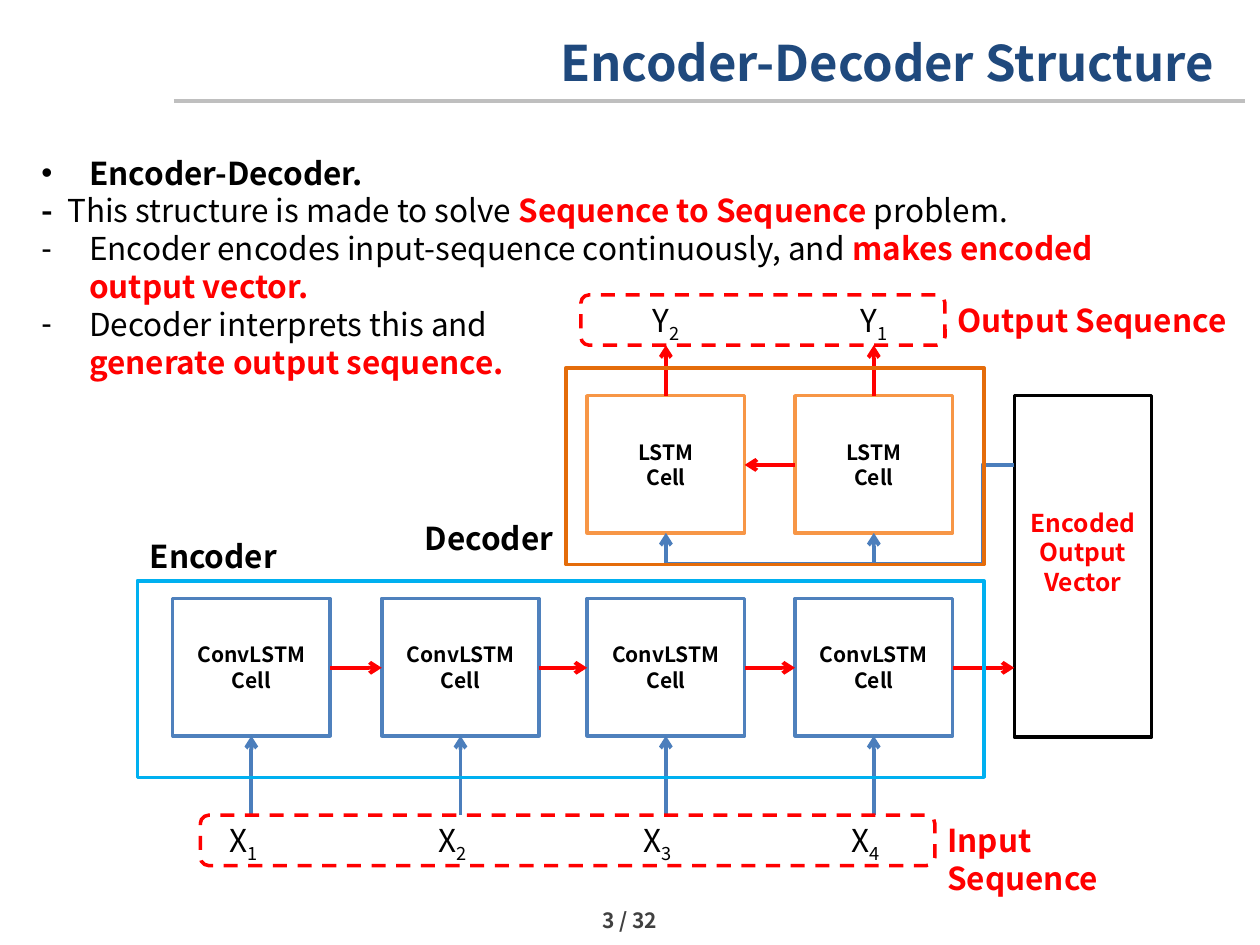
from lxml import etree
from pptx import Presentation
from pptx.dml.color import RGBColor
from pptx.enum.dml import MSO_LINE
from pptx.enum.shapes import MSO_CONNECTOR, MSO_SHAPE
from pptx.enum.text import MSO_ANCHOR, PP_ALIGN
from pptx.oxml.ns import qn
from pptx.util import Inches, Pt

STRAIGHT, ELBOW = MSO_CONNECTOR.STRAIGHT, MSO_CONNECTOR.ELBOW
RECTANGLE, ROUNDED = MSO_SHAPE.RECTANGLE, MSO_SHAPE.ROUNDED_RECTANGLE
LEFT, CENTER, RIGHT = PP_ALIGN.LEFT, PP_ALIGN.CENTER, PP_ALIGN.RIGHT
TOP, MIDDLE = MSO_ANCHOR.TOP, MSO_ANCHOR.MIDDLE
DASH = MSO_LINE.DASH

FONT = "Noto Sans CJK KR"
BLACK, WHITE, RED = "000000", "FFFFFF", "FF0000"
NAVY, GRAY, DARK_GRAY = "1F497D", "BFBFBF", "404040"
BLUE, ARROW_BLUE, CYAN = "4F81BD", "4B7EBC", "00B0F0"
ORANGE, DARK_ORANGE = "F79646", "E46C0A"

CELL_LEFTS = [1.37, 3.03, 4.66, 6.31]
CELL_WIDTH, CELL_HEIGHT = 1.25, 1.09
LABEL_WIDTH, LABEL_HEIGHT = 0.55, 0.4
VECTOR_LEFT = 8.05
BODY = [
    ("•", [("Encoder-Decoder.", BLACK, True)]),
    (None, [("-  ", BLACK, True),
            ("This structure is made to solve ", BLACK, False),
            ("Sequence to Sequence ", RED, True),
            ("problem.", BLACK, False)]),
    ("-", [("Encoder encodes input-sequence continuously, and ", BLACK, False),
           ("makes encoded output vector.", RED, True)]),
    ("-", [("Decoder interprets this and", BLACK, False)]),
    (None, [("\tgenerate output sequence.", RED, True)]),
]


def color(value):
    return RGBColor.from_string(value)


def add_span(para, text, size=18, tint=BLACK, bold=False):
    span = para.add_run()
    span.text = text
    for name, value in {"name": FONT, "size": Pt(size), "bold": bold}.items():
        setattr(span.font, name, value)
    span.font.color.rgb = color(tint)
    return span


def write_lines(frame, lines, align=LEFT, anchor=TOP, **style):
    frame.word_wrap = True
    frame.vertical_anchor = anchor
    for index, line in enumerate(lines):
        para = frame.add_paragraph() if index else frame.paragraphs[0]
        para.alignment = align
        add_span(para, line, **style)


def add_text(page, box, text="", **style):
    frame = page.shapes.add_textbox(*map(Inches, box)).text_frame
    frame.word_wrap = True
    if text:
        write_lines(frame, [text], **style)
    return frame


def add_box(page, box, line, fill=None, kind=RECTANGLE, dash=None):
    shape = page.shapes.add_shape(kind, *map(Inches, box))
    shape.shadow.inherit = False
    shape.line.color.rgb = color(line)
    shape.line.width = Pt(2)
    if dash:
        shape.line.dash_style = dash
    if fill:
        shape.fill.solid()
        shape.fill.fore_color.rgb = color(fill)
    else:
        shape.fill.background()
    return shape


def add_line(page, start, end, tint, arrow=True, kind=STRAIGHT):
    line = page.shapes.add_connector(kind, *map(Inches, (*start, *end)))
    line.line.color.rgb = color(tint)
    line.line.width = Pt(2.25)
    properties = line._element.spPr
    if arrow:
        etree.SubElement(properties.find(qn("a:ln")), qn("a:tailEnd"), type="arrow")
    etree.SubElement(properties, qn("a:effectLst"))
    return line


def add_feedback(page, start, end, turn=0.25, drop=0.25):
    line = add_line(page, start, end, ARROW_BLUE, kind=ELBOW)
    properties = line._element.spPr
    frame = properties.find(qn("a:xfrm"))
    frame.attrib.pop("flipH", None)
    frame.set("rot", "10800000")
    frame.set("flipV", "1")
    geometry = properties.find(qn("a:prstGeom"))
    geometry.set("prst", "bentConnector4")
    guides = geometry.find(qn("a:avLst"))
    width, height = start[0] - end[0], end[1] - start[1]
    for name, ratio in {"adj1": turn / width, "adj2": 1 + drop / height}.items():
        etree.SubElement(guides, qn("a:gd"), name=name,
                         fmla=f"val {round(ratio * 100000)}")


def add_cell(page, left, top, name, line):
    cell = add_box(page, (left, top, CELL_WIDTH, CELL_HEIGHT), line, WHITE)
    write_lines(cell.text_frame, [name, "Cell"], CENTER, MIDDLE, size=12, bold=True)


def add_symbol(page, left, top, letter, number):
    frame = add_text(page, (left, top, LABEL_WIDTH, LABEL_HEIGHT), letter)
    index = add_span(frame.paragraphs[0], str(number))
    index._r.get_or_add_rPr().set("baseline", "-25000")


def add_header(page, box):
    add_line(page, (1.38, 0.8), (9.88, 0.8), GRAY, arrow=False)
    add_text(page, box, "Encoder-Decoder Structure", align=RIGHT,
             size=28, tint=NAVY, bold=True)


def add_body(page, box):
    frame = add_text(page, box)
    for index, (bullet, spans) in enumerate(BODY):
        para = frame.add_paragraph() if index else frame.paragraphs[0]
        properties = para._p.get_or_add_pPr()
        properties.set("marL", str(Inches(0.38)))
        properties.set("indent", str(-Inches(0.38)))
        if bullet:
            etree.SubElement(properties, qn("a:buFont"), typeface="Arial")
            etree.SubElement(properties, qn("a:buChar"), char=bullet)
        else:
            etree.SubElement(properties, qn("a:buNone"))
        for text, tint, bold in spans:
            add_span(para, text, tint=tint, bold=bold)


def add_encoder(page, box):
    left, top, width, height = box
    cell_top = top + 0.14
    middle, bottom = cell_top + 0.55, cell_top + CELL_HEIGHT
    input_top = top + 1.86
    for number, cell_left in enumerate(CELL_LEFTS, 1):
        center = cell_left + CELL_WIDTH / 2
        add_cell(page, cell_left, cell_top, "ConvLSTM", BLUE)
        add_line(page, (center, input_top), (center, bottom), ARROW_BLUE)
        add_symbol(page, cell_left + 0.35, input_top, "X", number)
    for cell_left, target in zip(CELL_LEFTS, CELL_LEFTS[1:] + [VECTOR_LEFT]):
        add_line(page, (cell_left + CELL_WIDTH, middle), (target, middle), RED)
    add_box(page, (1.59, input_top, 5.83, LABEL_HEIGHT), RED, kind=ROUNDED, dash=DASH)
    add_text(page, (7.42, input_top, 2.11, LABEL_HEIGHT), "Input Sequence",
             tint=RED, bold=True)
    add_box(page, box, CYAN)
    add_text(page, (left, top - 0.4, 1.78, LABEL_HEIGHT), "Encoder", bold=True)


def add_decoder(page, box):
    left, top, width, height = box
    cell_top, output_top = top + 0.22, top - 0.58
    middle, bottom = cell_top + 0.55, cell_top + CELL_HEIGHT
    first, last = CELL_LEFTS[2:]
    for number, cell_left in ((2, first), (1, last)):
        center = cell_left + CELL_WIDTH / 2
        add_cell(page, cell_left, cell_top, "LSTM", ORANGE)
        add_line(page, (center, cell_top), (center, output_top + LABEL_HEIGHT), RED)
        add_symbol(page, cell_left + 0.42, output_top, "Y", number)
        add_feedback(page, (VECTOR_LEFT, middle), (center, bottom))
    add_line(page, (last, middle), (first + CELL_WIDTH, middle), RED)
    add_box(page, (4.61, output_top, 2.89, LABEL_HEIGHT), RED, kind=ROUNDED, dash=DASH)
    add_text(page, (7.5, output_top, 2.4, LABEL_HEIGHT), "Output Sequence",
             tint=RED, bold=True)
    add_box(page, box, DARK_ORANGE)
    add_text(page, (left - 1.78, top + 1.15, 1.78, LABEL_HEIGHT), "Decoder",
             align=RIGHT, bold=True)


def add_vector(page, box):
    frame = add_box(page, box, BLACK, WHITE).text_frame
    frame.margin_bottom = Inches(0.28)
    write_lines(frame, ["Encoded", "Output", "Vector"], CENTER, MIDDLE,
                size=14, tint=RED, bold=True)


def main():
    deck = Presentation()
    deck.slide_width, deck.slide_height = Inches(10), Inches(7.5)
    page = deck.slides.add_slide(deck.slide_layouts[6])
    add_header(page, (1, 0.21, 8.73, 0.45))
    add_body(page, (0.23, 1.17, 9.06, 2.52))
    add_vector(page, (VECTOR_LEFT, 3.14, 1.09, 2.71))
    add_encoder(page, (1.09, 4.61, 6.72, 1.56))
    add_decoder(page, (4.49, 2.92, 3.32, 1.56))
    add_text(page, (4.49, 7.14, 1.02, 0.32), "3 / 32", align=CENTER,
             anchor=MIDDLE, size=12, tint=DARK_GRAY, bold=True)
    deck.save("out.pptx")


if __name__ == "__main__":
    main()
